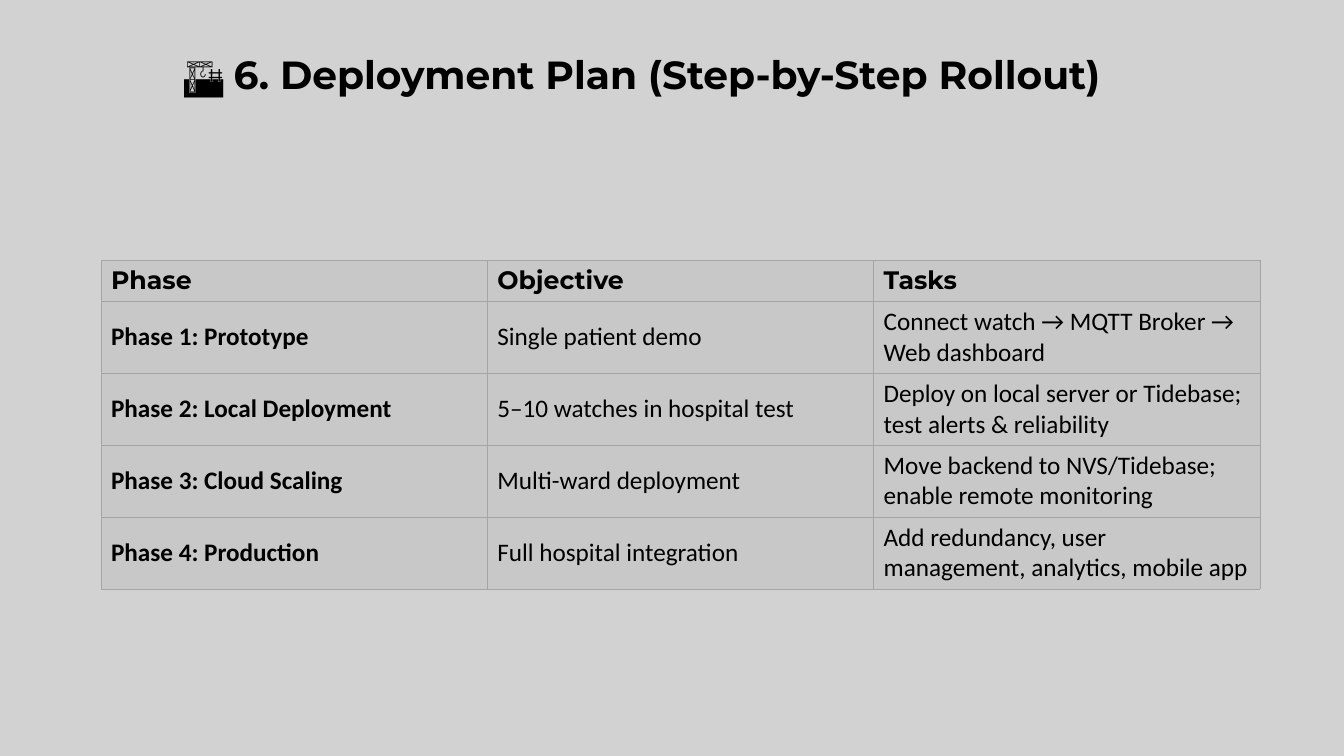
from lxml import etree
from pptx import Presentation
from pptx import util as u
from pptx.dml.color import RGBColor
from pptx.enum import text
from pptx.oxml import ns

EMU_PER_INCH = 914400
PX_PER_INCH = 100.8
COLORS = {"page": "D2D2D2", "cell": "C8C8C8", "border": "A5A5A5", "ink": "000000"}
TITLE = {"name": "Montserrat", "size": u.Pt(28), "bold": True}
HEADING = {"name": "Montserrat", "size": u.Pt(18), "bold": True}
PHASE = {"name": "Calibri", "size": u.Pt(18), "bold": True}
DETAIL = {"name": "Calibri", "size": u.Pt(18), "bold": False}

ROLLOUT = [
    ("Phase", "Objective", "Tasks"),
    ("Phase 1: Prototype", "Single patient demo",
     "Connect watch → MQTT Broker → Web dashboard"),
    ("Phase 2: Local Deployment", "5–10 watches in hospital test",
     "Deploy on local server or Tidebase; test alerts & reliability"),
    ("Phase 3: Cloud Scaling", "Multi-ward deployment",
     "Move backend to NVS/Tidebase; enable remote monitoring"),
    ("Phase 4: Production", "Full hospital integration",
     "Add redundancy, user management, analytics, mobile app"),
]


def px(length):
    return u.Emu(round(length * EMU_PER_INCH / PX_PER_INCH))


def color(part):
    return RGBColor.from_string(COLORS[part])


def set_font(font, style):
    for attribute, value in style.items():
        setattr(font, attribute, value)
    font.color.rgb = color("ink")


def add_borders(cell):
    properties = cell._tc.get_or_add_tcPr()
    for side in ("lnL", "lnR", "lnT", "lnB"):
        line = etree.SubElement(properties, ns.qn(f"a:{side}"), w=str(u.Pt(0.5)))
        fill = etree.SubElement(line, ns.qn("a:solidFill"))
        etree.SubElement(fill, ns.qn("a:srgbClr"), val=COLORS["border"])


def write_cell(cell, wording, style):
    cell.text = wording
    cell.vertical_anchor = text.MSO_ANCHOR.MIDDLE
    add_borders(cell)
    cell.fill.solid()
    cell.fill.fore_color.rgb = color("cell")
    set_font(cell.text_frame.paragraphs[0].runs[0].font, style)


def add_title(slide):
    heading = slide.shapes.title
    heading.left, heading.top, heading.width, heading.height = map(px, (174, 45, 1010, 57))
    frame = heading.text_frame
    frame.auto_size = text.MSO_AUTO_SIZE.NONE
    frame.vertical_anchor = text.MSO_ANCHOR.TOP
    line = frame.paragraphs[0]
    line.alignment = text.PP_ALIGN.LEFT
    for wording, bold in (("🏗️ ", False), ("6. Deployment Plan (Step-by-Step Rollout)", True)):
        run = line.add_run()
        run.text = wording
        set_font(run.font, {**TITLE, "bold": bold})


def add_rollout_table(slide):
    frame = slide.shapes.add_table(len(ROLLOUT), 3, px(101), px(260), px(1159), px(327))
    rollout = frame.table
    rollout.first_row = rollout.horz_banding = False
    for row_index, phase in enumerate(ROLLOUT):
        rollout.rows[row_index].height = px(72 if row_index else 41)
        for column_index, wording in enumerate(phase):
            if row_index == 0:
                style = HEADING
            else:
                style = DETAIL if column_index else PHASE
            write_cell(rollout.cell(row_index, column_index), wording, style)


def main():
    deck = Presentation()
    deck.slide_width, deck.slide_height = px(1344), px(756)
    slide = deck.slides.add_slide(deck.slide_layouts[5])
    slide.background.fill.solid()
    slide.background.fill.fore_color.rgb = color("page")
    add_rollout_table(slide)
    add_title(slide)
    deck.save("out.pptx")


if __name__ == "__main__":
    main()
